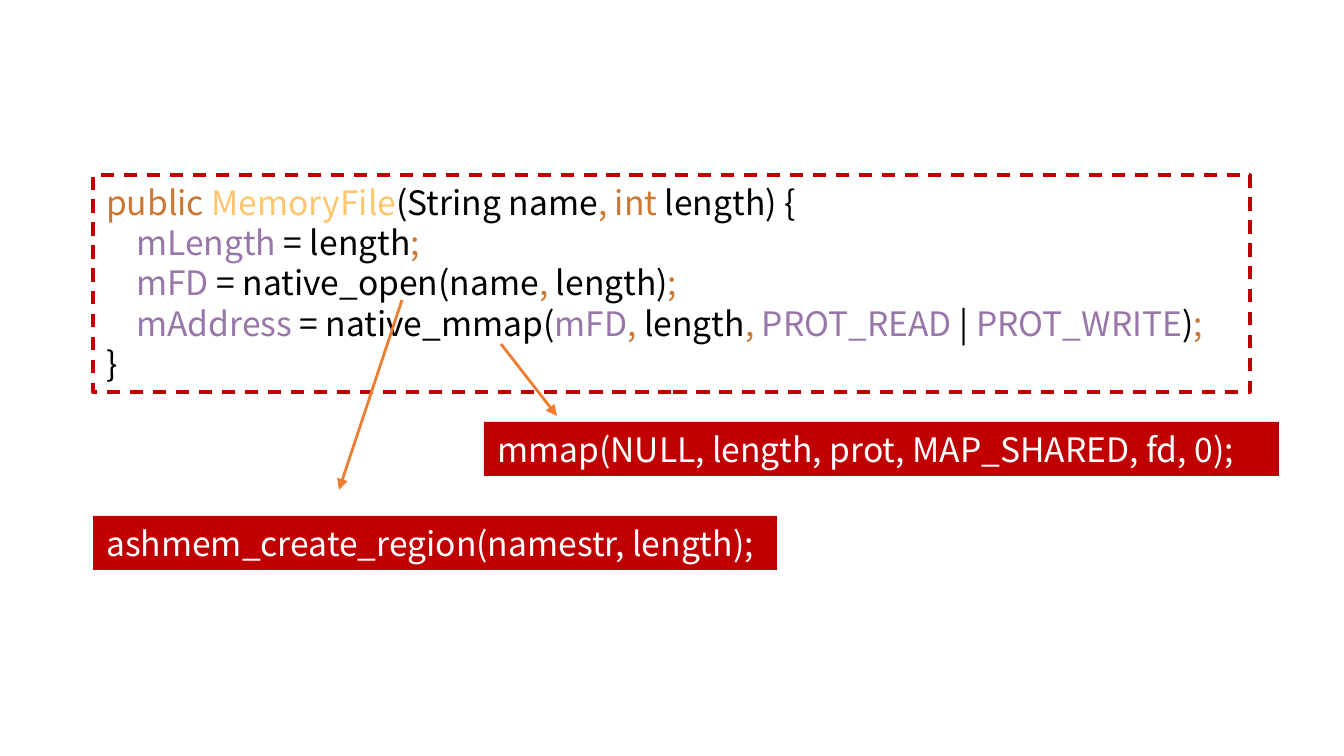
from lxml import etree
from pptx import Presentation
from pptx.dml.color import RGBColor
from pptx.enum import dml, shapes, text
from pptx.oxml import ns
from pptx.util import Pt

FONT = "Noto Sans CJK SC"
RED, ARROW, WHITE = "C00000", "ED7D31", "FFFFFF"
KEYWORD, METHOD, FIELD, PLAIN = "CC7832", "FFC66D", "9876AA", "000000"
INDENT = 30

# Each line: indent level, then its coloured runs
CODE = [
    (0, [("public ", KEYWORD), ("MemoryFile", METHOD), ("(String name", PLAIN),
         (", int ", KEYWORD), ("length) {", PLAIN)]),
    (1, [("mLength ", FIELD), ("= length", PLAIN), (";", KEYWORD)]),
    (1, [("mFD ", FIELD), ("= native_open(name", PLAIN), (", ", KEYWORD),
         ("length)", PLAIN), (";", KEYWORD)]),
    (1, [("mAddress ", FIELD), ("= native_mmap(", PLAIN), ("mFD", FIELD),
         (", ", KEYWORD), ("length", PLAIN), (", ", KEYWORD),
         ("PROT_READ ", FIELD), ("| ", PLAIN), ("PROT_WRITE", FIELD),
         (")", PLAIN), (";", KEYWORD)]),
    (0, [("}", PLAIN)]),
]


def px(pixels):
    """Turn pixels into EMU."""
    return round(pixels * 914400 / 134.4)


def color(value):
    """Turn a hex string into a colour."""
    return RGBColor.from_string(value)


def add_box(slide, box, lines, wrap):
    """Place an unfilled, unlined rectangle holding coloured lines of text."""
    shape = slide.shapes.add_shape(shapes.MSO_SHAPE.RECTANGLE, *map(px, box))
    shape.shadow.inherit = False
    shape.fill.background()
    shape.line.fill.background()
    frame = shape.text_frame
    frame.word_wrap = wrap
    frame.vertical_anchor = text.MSO_ANCHOR.TOP
    for number, (level, runs) in enumerate(lines):
        paragraph = frame.add_paragraph() if number else frame.paragraphs[0]
        paragraph.alignment = text.PP_ALIGN.LEFT
        if level:
            paragraph._p.get_or_add_pPr().set("marL", str(px(level * INDENT)))
        for words, hue in runs:
            run = paragraph.add_run()
            run.text = words
            run.font.name = FONT
            run.font.size = Pt(18)
            run.font.color.rgb = color(hue)
    return shape


def add_code(slide, box):
    """Place the code listing in a dashed frame."""
    shape = add_box(slide, box, CODE, True)
    shape.line.color.rgb = color(RED)
    shape.line.width = Pt(1.75)
    shape.line.dash_style = dml.MSO_LINE.DASH


def add_call(slide, box, words):
    """Place a red bar naming the system call."""
    shape = add_box(slide, box, [(0, [(words, WHITE)])], False)
    shape.fill.solid()
    shape.fill.fore_color.rgb = color(RED)


def add_arrow(slide, ends):
    """Draw an arrow between two points given as x1, y1, x2, y2."""
    arrow = slide.shapes.add_connector(
        shapes.MSO_CONNECTOR.STRAIGHT, *map(px, ends))
    arrow.line.color.rgb = color(ARROW)
    arrow.line.width = Pt(1.5)
    etree.SubElement(arrow.line._get_or_add_ln(), ns.qn("a:tailEnd"),
                     type="triangle")
    etree.SubElement(arrow._element.spPr, ns.qn("a:effectLst"))


def build():
    """Build and save the slide."""
    presentation = Presentation()
    presentation.slide_width, presentation.slide_height = px(1344), px(756)
    slide = presentation.slides.add_slide(presentation.slide_layouts[6])
    add_code(slide, (93, 175, 1157, 217))
    add_arrow(slide, (402, 300, 339, 490))
    add_call(slide, (484, 422, 795, 54),
             "mmap(NULL, length, prot, MAP_SHARED, fd, 0);")
    add_call(slide, (93, 516, 684, 54),
             "ashmem_create_region(namestr, length);")
    add_arrow(slide, (501, 344, 557, 416))
    presentation.save("out.pptx")


build()
